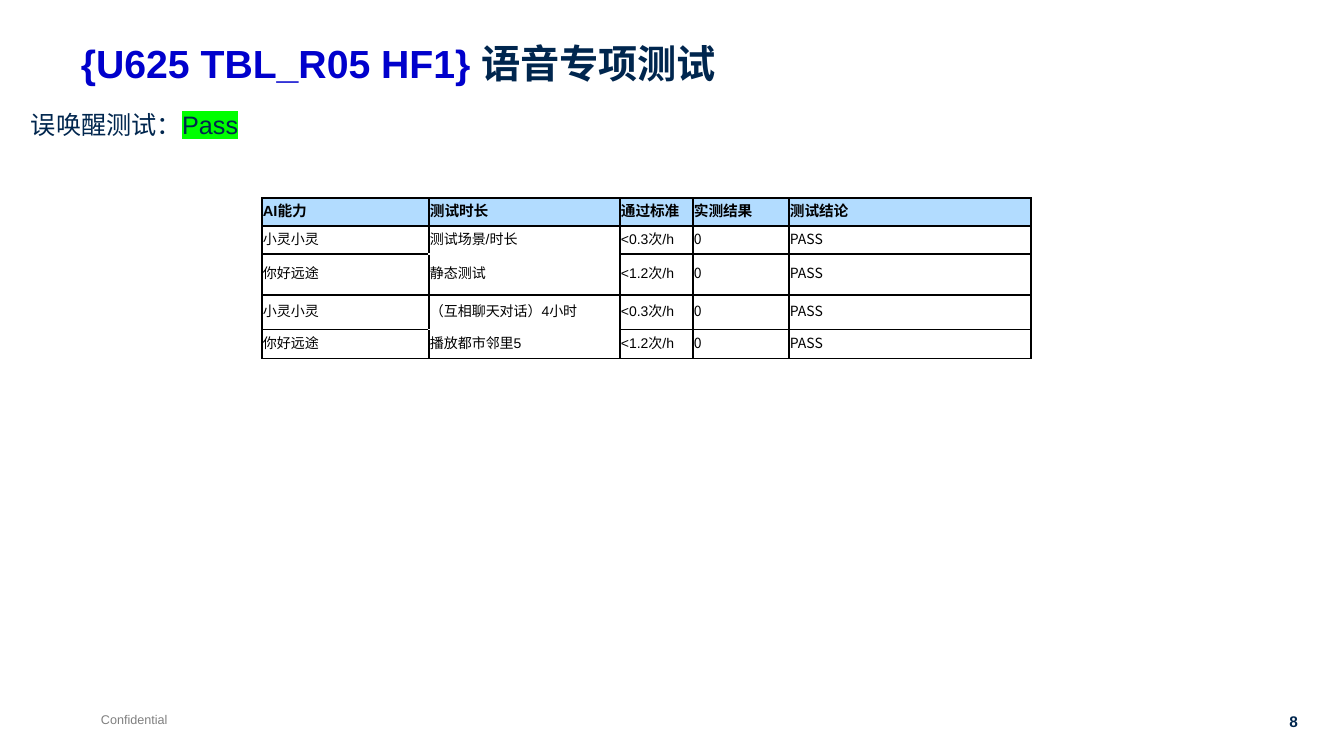
from lxml.etree import SubElement
from pptx import Presentation
from pptx.dml.color import RGBColor
from pptx.enum.text import MSO_ANCHOR, PP_ALIGN
from pptx.oxml.ns import qn
from pptx.util import Pt

SCALE = 914400 / 100.8
NAVY = RGBColor(0x00, 0x26, 0x4E)
BLUE = RGBColor(0x00, 0x00, 0xCC)
GREY = RGBColor(0x80, 0x80, 0x80)
BLACK = RGBColor(0x00, 0x00, 0x00)
WHITE = RGBColor(0xFF, 0xFF, 0xFF)
GREEN = RGBColor(0x00, 0xFF, 0x00)
HEADER_BLUE = RGBColor(0xB2, 0xDC, 0xFF)
LATIN_FONT = "Arial"
CHINESE_FONT = "Noto Sans CJK SC"

COLUMN_WIDTHS = [167, 191, 73, 96, 242]
ROW_HEIGHTS = [28, 28, 41, 35, 29]
HEADINGS = ["AI能力", "测试时长", "通过标准", "实测结果", "测试结论"]
WAKE_WORDS = [("小灵小灵", "<0.3次/h"), ("你好远途", "<1.2次/h")]
SCENES = ["测试场景/时长", "静态测试", "（互相聊天对话）4小时", "播放都市邻里5"]


def px(length):
    """Turn pixels into EMU."""
    return round(length * SCALE)


def add_color(parent, tag, color):
    """Add an element holding one solid RGB colour."""
    SubElement(SubElement(parent, qn(tag)), qn("a:srgbClr")).set("val", str(color))


def add_span(para, text, color, highlight=None, **values):
    """Add a run with its colour, highlight and font values."""
    span = para.add_run()
    span.text = text
    span.font.color.rgb = color
    properties = span.font._element
    if highlight is not None:
        add_color(properties, "a:highlight", highlight)
    for name, value in {"name": LATIN_FONT, **values}.items():
        setattr(span.font, name, value)
    SubElement(properties, qn("a:ea")).set("typeface", CHINESE_FONT)


def add_text(page, box, spans, wrap=True, **values):
    """Place one paragraph of spans in the given box."""
    frame = page.shapes.add_textbox(*map(px, box)).text_frame
    frame.word_wrap = wrap
    para = frame.paragraphs[0]
    for name, value in values.items():
        setattr(para, name, value)
    for span in spans:
        add_span(para, **span)


def add_heading(page, box):
    """Place the title and the test status below it."""
    left, top, width, height = box
    title = {"size": Pt(28), "bold": True}
    status = {"size": Pt(18), "color": NAVY}
    add_text(page, (left + 50, top, width - 50, 64), [
        {"text": "{U625 TBL_R05 HF1} ", "color": BLUE, **title},
        {"text": "语音专项测试", "color": NAVY, **title},
    ], line_spacing=0.9)
    add_text(page, (left, top + 64, 435, height - 64), [
        {"text": "误唤醒测试：", **status},
        {"text": "Pass", "highlight": GREEN, **status},
    ])


def add_border(cell, side, color):
    """Draw one side of a table cell."""
    line = SubElement(cell._tc.get_or_add_tcPr(), qn(f"a:ln{side}"), w=str(Pt(1)))
    add_color(line, "a:solidFill", color)


def fill_cell(cell, row, column, text):
    """Format one cell; each pair of scenes has no line between."""
    values = {
        "margin_left": px(1), "margin_right": px(1), "margin_top": px(1),
        "margin_bottom": px(5), "vertical_anchor": MSO_ANCHOR.MIDDLE,
    }
    for name, value in values.items():
        setattr(cell, name, value)
    open_side = ("B" if row % 2 else "T") if row and column == 1 else None
    for side in "LRTB":
        add_border(cell, side, WHITE if side == open_side else BLACK)
    if row == 0:
        cell.fill.solid()
        cell.fill.fore_color.rgb = HEADER_BLUE
    else:
        cell.fill.background()
    add_span(cell.text_frame.paragraphs[0], text, BLACK,
             name=CHINESE_FONT if row and column > 2 else LATIN_FONT,
             size=Pt(10 if row else 10.5), bold=row == 0)


def add_results(page, box):
    """Place the table of wake-up results."""
    rows = [HEADINGS]
    for index, scene in enumerate(SCENES):
        word, limit = WAKE_WORDS[index % 2]
        rows.append([word, scene, limit, "0", "PASS"])
    table = page.shapes.add_table(len(rows), len(HEADINGS), *map(px, box)).table
    table.first_row = table.horz_banding = False
    for column, width in zip(table.columns, COLUMN_WIDTHS):
        column.width = px(width)
    for row, height in zip(table.rows, ROW_HEIGHTS):
        row.height = px(height)
    for row, texts in enumerate(rows):
        for column, text in enumerate(texts):
            fill_cell(table.cell(row, column), row, column, text)


def add_footer(page, box):
    """Place the confidentiality mark and the page number."""
    left, top, width, height = box
    add_text(page, (left, top, 88, height),
             [{"text": "Confidential", "color": GREY, "size": Pt(9)}], wrap=False)
    add_text(page, (left + width - 39, top, 39, height),
             [{"text": "8", "color": NAVY, "size": Pt(11), "bold": True}],
             wrap=False, alignment=PP_ALIGN.RIGHT)


def main():
    """Build and save the slide."""
    deck = Presentation()
    deck.slide_width, deck.slide_height = px(1344), px(756)
    page = deck.slides.add_slide(deck.slide_layouts[6])
    add_heading(page, (21, 40, 1244, 136))
    add_results(page, (262, 198, sum(COLUMN_WIDTHS), sum(ROW_HEIGHTS)))
    add_footer(page, (91, 707, 1217, 29))
    deck.save("out.pptx")


if __name__ == "__main__":
    main()
